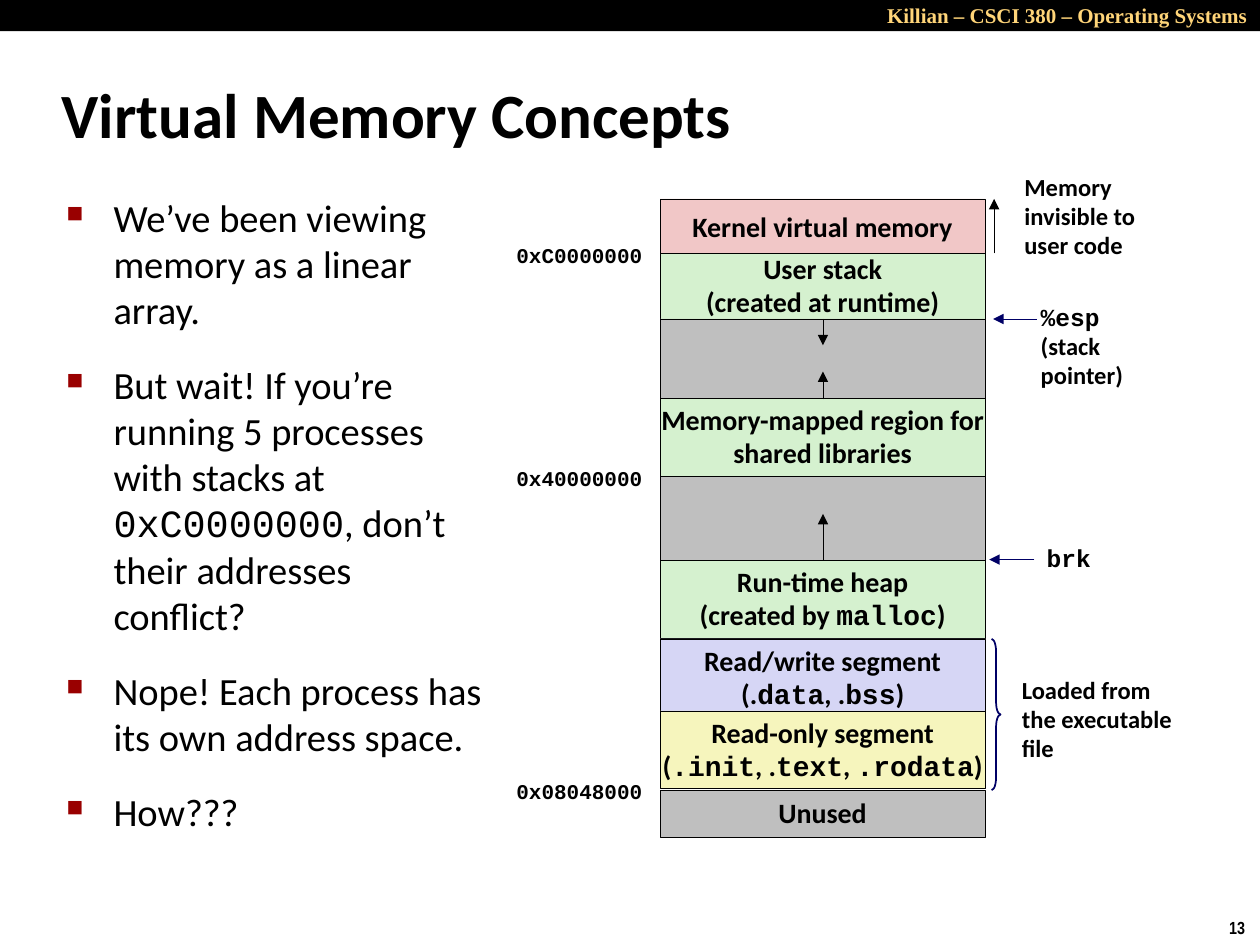
from lxml.etree import SubElement
from pptx import Presentation
from pptx.dml.color import RGBColor
from pptx.enum.shapes import MSO_CONNECTOR, MSO_SHAPE
from pptx.enum.text import MSO_ANCHOR, MSO_AUTO_SIZE, PP_ALIGN
from pptx.oxml.ns import qn
from pptx.util import Cm, Pt

BLACK = RGBColor(0x00, 0x00, 0x00)
GOLD = RGBColor(0xFF, 0xD5, 0x79)
DARK_RED = RGBColor(0x99, 0x00, 0x00)
NAVY = RGBColor(0x00, 0x00, 0x66)
GRAY = RGBColor(0xBF, 0xBF, 0xBF)
PINK = RGBColor(0xF1, 0xC7, 0xC7)
GREEN = RGBColor(0xD5, 0xF1, 0xCF)
LAVENDER = RGBColor(0xD6, 0xD6, 0xF5)
YELLOW = RGBColor(0xF6, 0xF5, 0xBD)

STACK_LEFT, STACK_WIDTH = 13.31, 6.55
STACK_MIDDLE = 16.59


class MemorySlide:
    """Holds the style and the current slide."""

    font, code_font = "Calibri", "Courier New"
    hairline = Pt(0.26)

    def __init__(self, page):
        """Keep the slide to draw on."""
        self.page = page
        self.shapes = page.shapes

    def fill_text(self, frame, lines, size, bold=True, color=BLACK, font=None,
                  align=PP_ALIGN.LEFT, spacing=None):
        """Fill a text frame; words between backticks are set as code."""
        frame.auto_size = MSO_AUTO_SIZE.NONE
        for index, line in enumerate(lines):
            para = frame.add_paragraph() if index else frame.paragraphs[0]
            para.alignment = align
            if spacing:
                para.line_spacing = 0.94 if line.startswith("`") else spacing
            for part, words in enumerate(line.split("`")):
                if not words:
                    continue
                span = para.add_run()
                span.text = words
                span.font.name = self.code_font if part % 2 else font or self.font
                span.font.size = Pt(size)
                span.font.bold = bold
                span.font.color.rgb = color

    def title(self, text, left, top, width, height):
        """Place and format the title placeholder."""
        box = self.shapes.title
        box.left, box.top = Cm(left), Cm(top)
        box.width, box.height = Cm(width), Cm(height)
        box.text_frame.vertical_anchor = MSO_ANCHOR.MIDDLE
        self.fill_text(box.text_frame, [text], 36)

    def text(self, lines, left, top, width, height, size, wrap=True, **style):
        """Add a text box."""
        box = self.shapes.add_textbox(Cm(left), Cm(top), Cm(width), Cm(height))
        box.text_frame.word_wrap = wrap
        self.fill_text(box.text_frame, lines, size, **style)
        return box

    def bullets(self, lines, left, top, width, height):
        """Add a list with square bullets."""
        box = self.text(lines, left, top, width, height, 22, bold=False)
        for para in box.text_frame.paragraphs:
            para.space_before, para.space_after = Pt(4.4), Pt(12)
            settings = para._p.get_or_add_pPr()
            settings.set("marL", str(Cm(0.95)))
            settings.set("indent", str(Cm(-0.95)))
            color = SubElement(settings, qn("a:buClr"))
            SubElement(color, qn("a:srgbClr"), val=str(DARK_RED))
            SubElement(settings, qn("a:buSzPct"), val="60000")
            SubElement(settings, qn("a:buChar"), char="■")

    def block(self, left, top, width, height, fill, lines=(), outline=True):
        """Add a filled rectangle with centred text."""
        box = self.shapes.add_shape(
            MSO_SHAPE.RECTANGLE, Cm(left), Cm(top), Cm(width), Cm(height))
        box.shadow.inherit = False
        box.fill.solid()
        box.fill.fore_color.rgb = fill
        if outline:
            box.line.color.rgb = BLACK
            box.line.width = self.hairline
        else:
            box.line.fill.background()
        box.text_frame.word_wrap = False
        box.text_frame.vertical_anchor = MSO_ANCHOR.MIDDLE
        self.fill_text(box.text_frame, lines, 16, align=PP_ALIGN.CENTER, spacing=0.98)

    def arrow(self, x1, y1, x2, y2, color=BLACK):
        """Add a thin arrow pointing at the second point."""
        line = self.shapes.add_connector(
            MSO_CONNECTOR.STRAIGHT, Cm(x1), Cm(y1), Cm(x2), Cm(y2))
        line.line.color.rgb = color
        line.line.width = self.hairline
        SubElement(line.line._get_or_add_ln(), qn("a:tailEnd"), type="triangle")
        SubElement(line._element.spPr, qn("a:effectLst"))

    def brace(self, left, top, width, height):
        """Add a right brace."""
        brace = self.shapes.add_shape(
            MSO_SHAPE.RIGHT_BRACE, Cm(left), Cm(top), Cm(width), Cm(height))
        brace.shadow.inherit = False
        brace.adjustments[0] = 1.417
        brace.fill.background()
        brace.line.color.rgb = NAVY
        brace.line.width = Pt(1)


def main():
    """Build the slide and save it."""
    deck = Presentation()
    deck.slide_width, deck.slide_height = Cm(25.4), Cm(19.05)
    slide = MemorySlide(deck.slides.add_slide(deck.slide_layouts[5]))

    slide.block(0, 0, 25.4, 0.63, BLACK, outline=False)
    slide.text(["Killian – CSCI 380 – Operating Systems"], 16.71, -0.07, 8.69, 0.76,
               12, color=GOLD, font="Times New Roman", align=PP_ALIGN.RIGHT)
    slide.text(["13"], 24.53, 18.36, 0.87, 0.69, 10, wrap=False, font="Arial Narrow")
    slide.title("Virtual Memory Concepts", 0.99, 1.22, 21.08, 2.11)
    slide.bullets([
        "We’ve been viewing memory as a linear array.",
        "But wait! If you’re running 5 processes with stacks at `0xC0000000`, "
        "don’t their addresses conflict?",
        "Nope! Each process has its own address space.",
        "How???",
    ], 1.09, 3.78, 9.07, 13.82)

    regions = [
        (4.01, 1.14, PINK, ["Kernel virtual memory"]),
        (5.11, 1.32, GREEN, ["User stack", "(created at runtime)"]),
        (6.43, 1.6, GRAY, []),
        (8.03, 1.57, GREEN, ["Memory-mapped region for", "shared libraries"]),
        (9.6, 1.7, GRAY, []),
        (11.3, 1.57, GREEN, ["Run-time heap", "(created by `malloc`)"]),
        (12.88, 1.57, LAVENDER, ["Read/write segment", "(.`data`, .`bss`)"]),
        (14.33, 1.57, YELLOW,
         ["Read-only segment", "(`.init`, .`text`, `.rodata`)"]),
        (15.93, 0.94, GRAY, ["Unused"]),
    ]
    for top, height, fill, lines in regions:
        slide.block(STACK_LEFT, top, STACK_WIDTH, height, fill, lines)

    for start, end in [(6.43, 6.96), (8.05, 7.49), (11.28, 10.36)]:
        slide.arrow(STACK_MIDDLE, start, STACK_MIDDLE, end)
    slide.arrow(20.04, 5.11, 20.04, 4.01)
    slide.arrow(20.9, 6.43, 20.02, 6.43, NAVY)
    slide.arrow(20.85, 11.28, 19.94, 11.28, NAVY)
    slide.brace(19.99, 12.88, 0.18, 3.05)

    for address, top in [("C0000000", 4.8), ("40000000", 9.3), ("08048000", 15.62)]:
        slide.text([f"`0x{address}`"], 10.16, top, 3.18, 0.76, 12, spacing=0.98)

    labels = [
        (["Memory", "invisible to", "user code"], 20.4, 3.38, 3.05, 2.03),
        (["`%esp`", "(stack", "pointer)"], 20.73, 6.02, 2.74, 2.01),
        (["`brk`"], 20.85, 10.87, 1.65, 0.84),
        (["Loaded from the executable file"], 20.35, 13.51, 3.78, 2.03),
    ]
    for lines, left, top, width, height in labels:
        slide.text(lines, left, top, width, height, 14, spacing=0.98)

    deck.save("out.pptx")


main()
